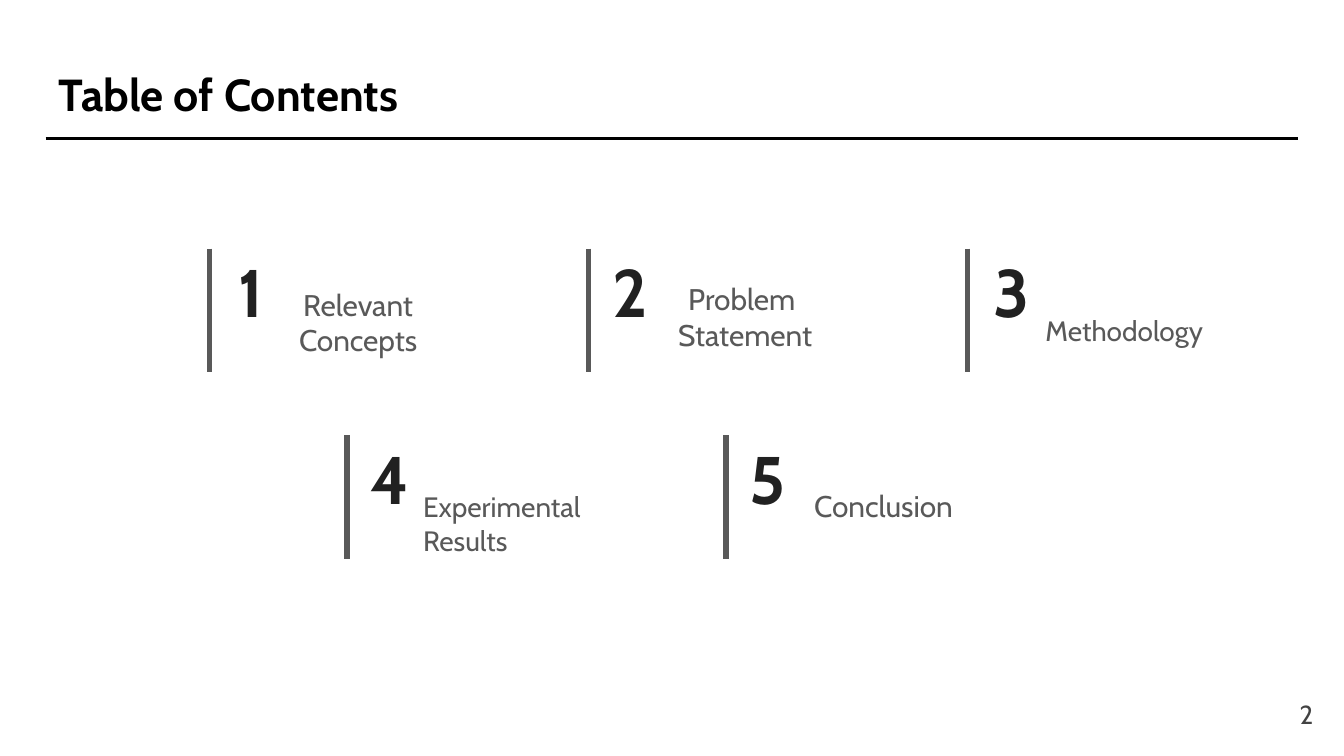
import copy

import pptx
import pptx.dml.color
import pptx.enum.shapes
import pptx.enum.text
import pptx.oxml.ns
import pptx.util

Inches = pptx.util.Inches
ALIGN = pptx.enum.text.PP_ALIGN
ANCHOR = pptx.enum.text.MSO_ANCHOR

FIRST_ROW = (1.56, 1.85)
SECOND_ROW = (2.58, 3.24)
COLUMN_STEP = 2.82
GRAY = "595959"


def color(value):
    """Turn a hex string into a colour."""
    return pptx.dml.color.RGBColor.from_string(value)


def add_text(shapes, text, left, top, width, height, *, size, fill=GRAY,
             bold=False, align=ALIGN.LEFT, anchor=ANCHOR.TOP):
    """Add a text box in one format, with line breaks at newlines."""
    box = shapes.add_textbox(Inches(left), Inches(top), Inches(width), Inches(height))
    frame = box.text_frame
    frame.word_wrap = True
    frame.vertical_anchor = anchor
    frame.margin_left = frame.margin_right = Inches(0.1)
    frame.margin_top = frame.margin_bottom = Inches(0.1)
    para = frame.paragraphs[0]
    para.text = text
    para.alignment = align
    for span in para.runs:
        span.font.name = "Cabin"
        span.font.size = pptx.util.Pt(size)
        span.font.bold = bold
        span.font.color.rgb = color(fill)
    for line_break in para._p.findall(pptx.oxml.ns.qn("a:br")):
        line_break.append(copy.deepcopy(para.runs[0]._r.rPr))


def add_line(shapes, start, end, fill, weight):
    """Add a straight line without a shadow."""
    line = shapes.add_connector(
        pptx.enum.shapes.MSO_CONNECTOR.STRAIGHT,
        *map(Inches, start), *map(Inches, end))
    line.line.color.rgb = color(fill)
    line.line.width = pptx.util.Pt(weight)
    properties = line._element.spPr
    properties.append(properties.makeelement(pptx.oxml.ns.qn("a:effectLst"), {}))


def add_header(page, left, top, width, height):
    """Place the title above its rule."""
    bottom = top + height
    add_line(page.shapes, (left, bottom), (left + width, bottom), "000000", 1.5)
    add_text(page.shapes, "Table of Contents", left, top, width, height,
             size=24, fill="000000", bold=True)


def add_entry(page, left, top, number, number_width, label, label_box, **label_format):
    """Place a bar, a number and a label whose box is relative to the entry."""
    shapes = page.shapes.add_group_shape().shapes
    add_line(shapes, (left, top), (left, top + 0.92), GRAY, 3)
    add_text(shapes, str(number), left + 0.06, top, number_width, 0.63, size=36,
             fill="212121", bold=True, align=ALIGN.CENTER, anchor=ANCHOR.MIDDLE)
    offset_x, offset_y, width, height = label_box
    add_text(shapes, label, left + offset_x, top + offset_y, width, height,
             **label_format)


def add_contents(page):
    """Place the numbered entries in two rows with an equal column step."""
    centered = {"size": 16, "align": ALIGN.CENTER}
    middle = {"size": 15, "anchor": ANCHOR.MIDDLE}
    rows = [
        (FIRST_ROW, [
            (0.5, "Relevant Concepts", (0.35, 0.18, 1.51, 0.74), centered),
            (0.5, "Problem \nStatement", (0.53, 0.14, 1.27, 0.78), centered),
            (0.53, "Methodology", (0.48, 0.29, 1.48, 0.63), middle),
        ]),
        (SECOND_ROW, [
            (0.53, "Experimental\nResults", (0.47, 0.34, 1.46, 0.63), middle),
            (0.5, "Conclusion", (0.56, 0.29, 1.66, 0.63), {"size": 16}),
        ]),
    ]
    number = 0
    for (left, top), entries in rows:
        for column, (number_width, label, label_box, label_format) in enumerate(entries):
            number += 1
            add_entry(page, left + column * COLUMN_STEP, top, number,
                      number_width, label, label_box, **label_format)


def main():
    """Build and save the deck."""
    deck = pptx.Presentation()
    deck.slide_width = Inches(10)
    deck.slide_height = deck.slide_width * 9 // 16
    page = deck.slides.add_slide(deck.slide_layouts[6])
    add_header(page, 0.34, 0.4, 9.32, 0.63)
    add_contents(page)
    add_text(page.shapes, "2", 9.27, 5.1, 0.6, 0.43, size=14, fill="434343",
             align=ALIGN.RIGHT, anchor=ANCHOR.MIDDLE)
    deck.save("out.pptx")


if __name__ == "__main__":
    main()
